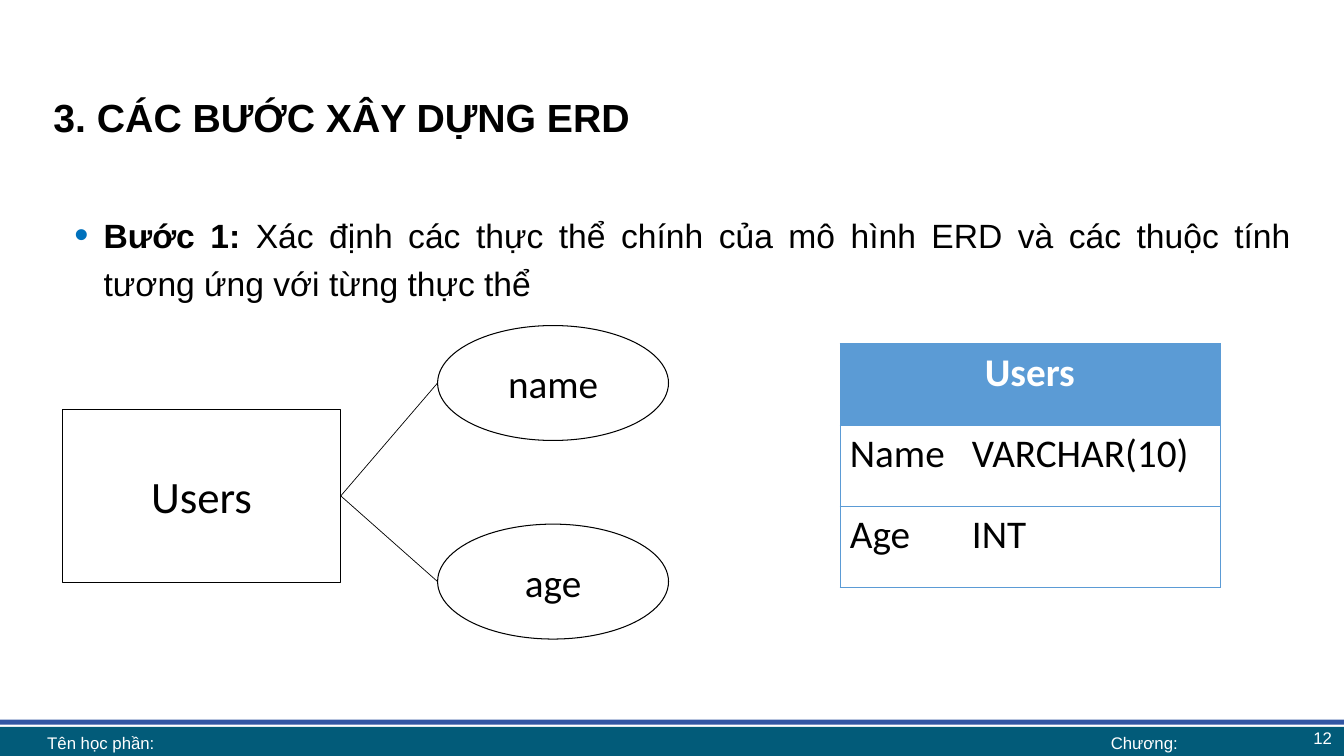
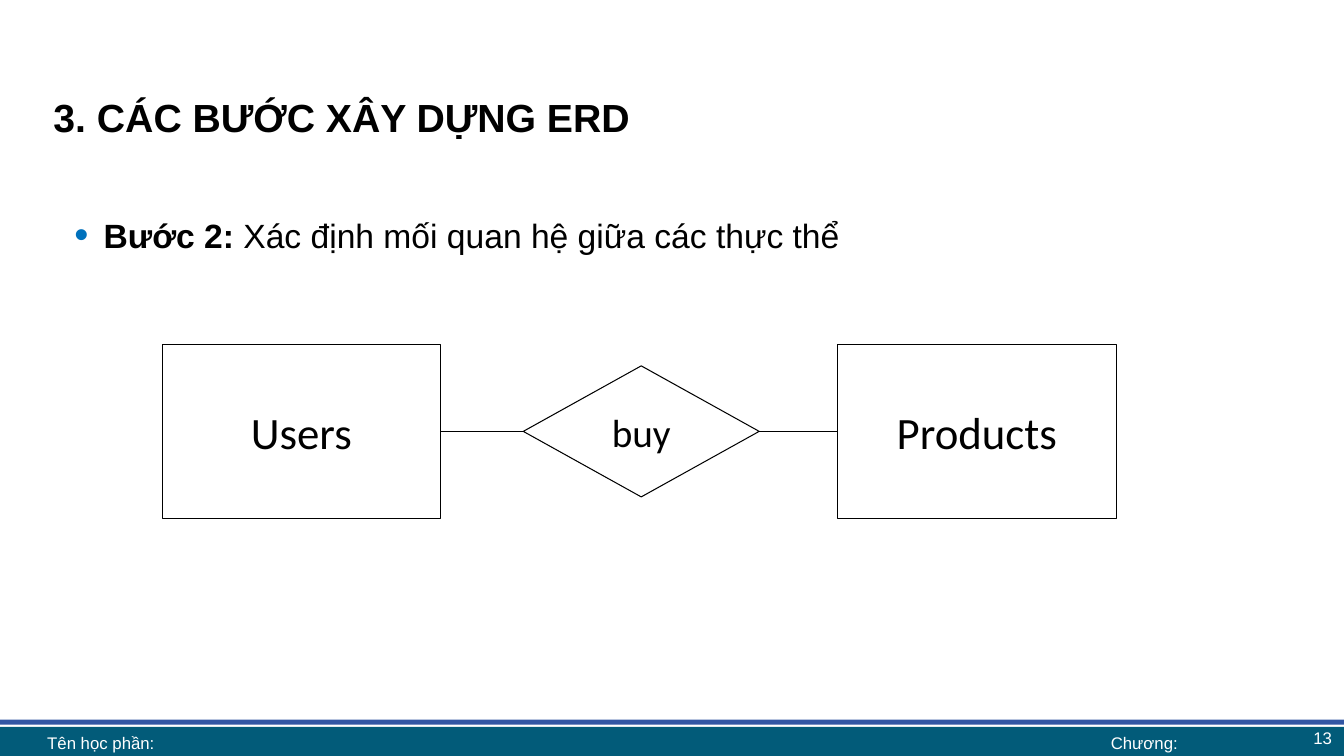
import pptx
import pptx.util
import pptx.dml.color
import pptx.enum.text
import pptx.enum.shapes
from lxml import etree

Inches, Pt = pptx.util.Inches, pptx.util.Pt
ALIGN = pptx.enum.text.PP_ALIGN
ANCHOR = pptx.enum.text.MSO_ANCHOR
SHAPE = pptx.enum.shapes.MSO_SHAPE
LINK = pptx.enum.shapes.MSO_CONNECTOR.STRAIGHT
NS = "http://schemas.openxmlformats.org/drawingml/2006/main"

# Shared look
BLACK, WHITE, BLUE = "000000", "FFFFFF", "5B9BD5"
BANDS = [((0, 7.21, 13.33, 0.31), "025B79"), ((-0.01, 7.14, 13.36, 0.05), "3256A4")]
FOOT = [("Tên học phần:", (0.37, 7.21, 10.24, 0.31), ALIGN.LEFT),
        ("Chương:", (10.6, 7.21, 1.5, 0.31), ALIGN.CENTER)]
NUMBER = (10.31, 7.14, 3, 0.35)
PARA = dict(alignment=ALIGN.JUSTIFY, line_spacing=1.2, space_before=Pt(5))
SMALL = dict(name="Arial", size=Pt(12))
HEAD = dict(name="Arial", size=Pt(28), bold=True)
BODY = dict(name="Arial", size=Pt(24))
LABEL = dict(name="Calibri", size=Pt(28), bold=False)
ENTITY = dict(name="Calibri", size=Pt(32))

# Kinds of node: preset shape, width, height, text format
KINDS = {"entity": (SHAPE.RECTANGLE, 2.76, 1.72, ENTITY),
         "field": (SHAPE.OVAL, 2.29, 1.14, LABEL),
         "link": (SHAPE.FLOWCHART_DECISION, 2.34, 1.3, LABEL)}

# Content: nodes are text, kind, left, middle height
TITLE = "3. CÁC BƯỚC XÂY DỰNG ERD"
SLIDES = [
    dict(number=12, step="Bước 1:",
         text=" Xác định các thực thể chính của mô hình ERD và các thuộc tính "
              "tương ứng với từng thực thể",
         nodes=[("Users", "entity", 0.62, 4.92), ("name", "field", 4.34, 3.8),
                ("age", "field", 4.34, 5.77)],
         lines=[("Users", "name"), ("Users", "age")],
         table=("Users", [("Name", "VARCHAR(10)"), ("Age", "INT")])),
    dict(number=13, step="Bước 2:", text=" Xác định mối quan hệ giữa các thực thể",
         nodes=[("Users", "entity", 1.61, 4.28), ("buy", "link", 5.19, 4.28),
                ("Products", "entity", 8.31, 4.28)],
         lines=[("Users", "buy"), ("buy", "Products")]),
]


def color(code):
    return pptx.dml.color.RGBColor.from_string(code)


def apply(obj, form):
    for key, value in form.items():
        setattr(obj, key, value)


def write(para, text, form, code=BLACK):
    run = para.add_run()
    run.text = text
    apply(run.font, form)
    run.font.color.rgb = color(code)


def add(parent, tag, **attrs):
    return etree.SubElement(parent, f"{{{NS}}}{tag}", attrs)


def box(slide, area):
    shape = slide.shapes.add_textbox(*map(Inches, area))
    shape.text_frame.word_wrap = True
    return shape.text_frame


def draw(slide, kind, area):
    shape = slide.shapes.add_shape(kind, *map(Inches, area))
    shape.shadow.inherit = False
    return shape


def frame(slide, number):
    # Bands and footer
    for area, code in BANDS:
        band = draw(slide, SHAPE.RECTANGLE, area)
        band.fill.solid()
        band.fill.fore_color.rgb = color(code)
        band.line.fill.background()
    for text, area, align in FOOT + [(str(number), NUMBER, ALIGN.RIGHT)]:
        foot = box(slide, area)
        apply(foot, dict(vertical_anchor=ANCHOR.MIDDLE, margin_top=0, margin_bottom=0))
        foot.paragraphs[0].alignment = align
        write(foot.paragraphs[0], text, SMALL, WHITE)
    # Title
    title = slide.shapes.title
    apply(title, dict(left=Inches(0.43), top=Inches(0.78),
                      width=Inches(12.47), height=Inches(0.87)))
    apply(title.text_frame, dict(vertical_anchor=ANCHOR.TOP, word_wrap=True,
                                 auto_size=pptx.enum.text.MSO_AUTO_SIZE.NONE))
    apply(title.text_frame.paragraphs[0], PARA)
    write(title.text_frame.paragraphs[0], TITLE, HEAD)


def bullet(slide, step, text):
    para = box(slide, (0.64, 2, 12.26, 1.1)).paragraphs[0]
    apply(para, PARA)
    props = para._p.get_or_add_pPr()
    props.set("marL", str(Inches(0.29)))
    props.set("indent", str(-Inches(0.29)))
    add(add(props, "buClr"), "srgbClr", val="0071BC")
    add(props, "buSzPct", val="120000")
    add(props, "buFont", typeface="Arial")
    add(props, "buChar", char="•")
    write(para, step, {**BODY, "bold": True})
    write(para, text, BODY)


def node(slide, text, kind, left, mid):
    preset, wide, high, form = KINDS[kind]
    shape = draw(slide, preset, (left, mid - high / 2, wide, high))
    shape.fill.background()
    shape.line.color.rgb = color(BLACK)
    shape.line.width = Pt(0.75)
    shape.text_frame.vertical_anchor = ANCHOR.MIDDLE
    shape.text_frame.paragraphs[0].alignment = ALIGN.CENTER
    write(shape.text_frame.paragraphs[0], text, form)
    return shape


def join(slide, start, end):
    ends = (start.left + start.width, start.top + start.height // 2,
            end.left, end.top + end.height // 2)
    line = slide.shapes.add_connector(LINK, *ends)
    line.begin_connect(start, 3)
    if end.auto_shape_type != SHAPE.OVAL:
        line.end_connect(end, 1)
    line.line.color.rgb = color(BLACK)
    line.line.width = Pt(0.5)
    add(line._element.spPr, "effectLst")


def grid(slide, head, rows):
    area = map(Inches, (8.33, 3.41, 3.77, 2.42))
    table = slide.shapes.add_table(len(rows) + 1, 1, *area).table
    for i, text in enumerate([head] + ["\t".join(row) for row in rows]):
        cell = table.cell(i, 0)
        props = cell._tc.get_or_add_tcPr()
        for side in "LRTB":
            edge = add(props, "ln" + side, w=str(Pt(0.5)))
            add(add(edge, "solidFill"), "srgbClr", val=BLUE)
        cell.fill.solid()
        cell.fill.fore_color.rgb = color(WHITE if i else BLUE)
        para = cell.text_frame.paragraphs[0]
        para.alignment = ALIGN.LEFT if i else ALIGN.CENTER
        if i:
            tabs = add(para._p.get_or_add_pPr(), "tabLst")
            add(tabs, "tab", pos=str(Inches(1.21)), algn="l")
        write(para, text, {**LABEL, "bold": i == 0}, BLACK if i else WHITE)


def main():
    deck = pptx.Presentation()
    deck.slide_width, deck.slide_height = Inches(13.33), Inches(7.5)
    for data in SLIDES:
        slide = deck.slides.add_slide(deck.slide_layouts[5])
        frame(slide, data["number"])
        bullet(slide, data["step"], data["text"])
        nodes = {item[0]: node(slide, *item) for item in data["nodes"]}
        for start, end in data["lines"]:
            join(slide, nodes[start], nodes[end])
        if "table" in data:
            grid(slide, *data["table"])
    deck.save("out.pptx")


if __name__ == "__main__":
    main()
